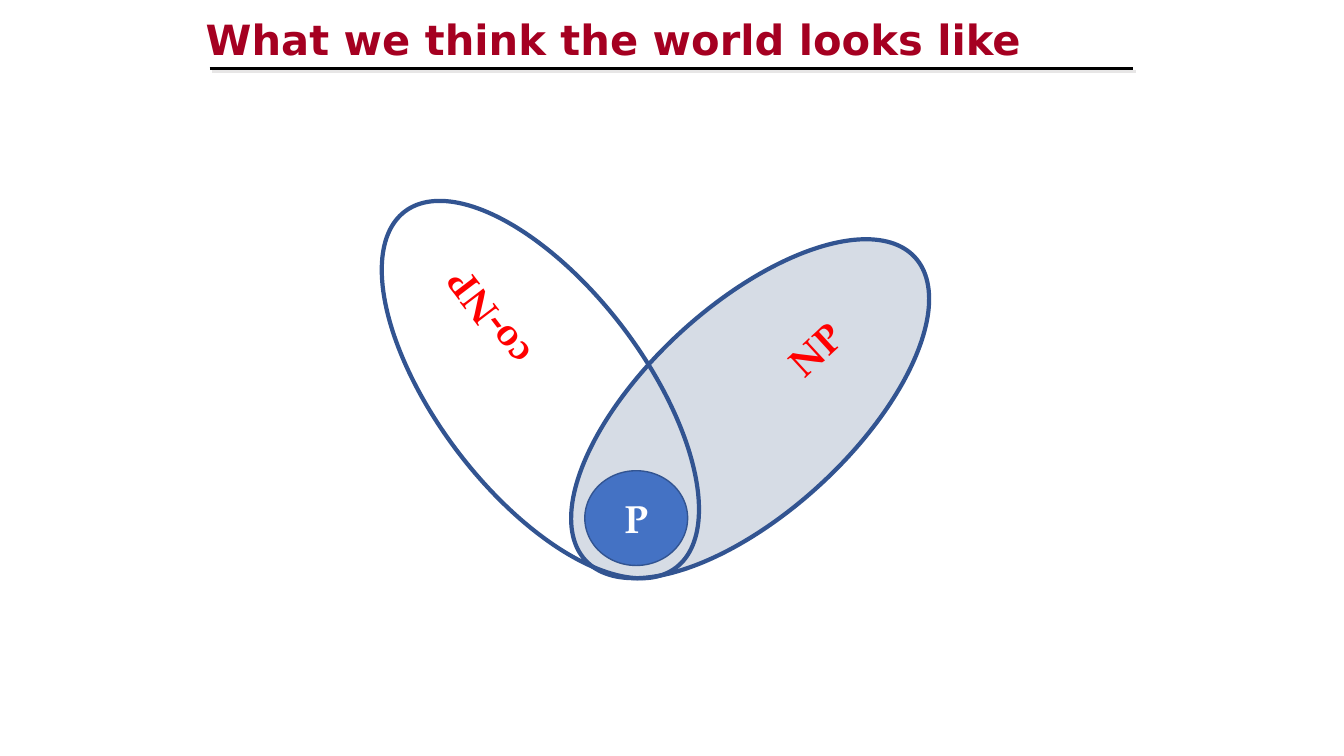
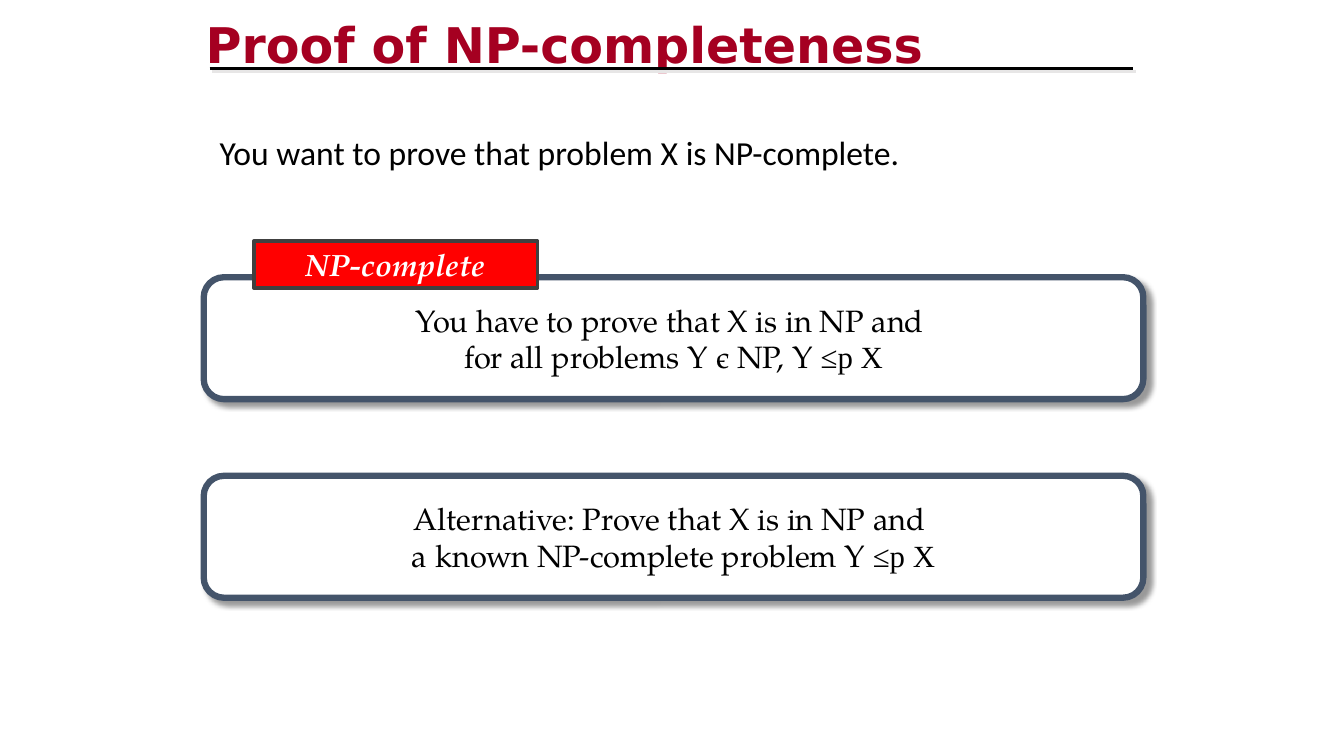
from dataclasses import dataclass
from typing import Optional

import pptx
import pptx.dml.color
import pptx.enum.shapes
import pptx.enum.text
import pptx.oxml.ns
import pptx.util
from lxml import etree

Inches = pptx.util.Inches
Pt = pptx.util.Pt
Shapes = pptx.enum.shapes.MSO_SHAPE
Align = pptx.enum.text.PP_ALIGN
Anchor = pptx.enum.text.MSO_ANCHOR
AutoSize = pptx.enum.text.MSO_AUTO_SIZE


@dataclass(frozen=True)
class Theme:
    title: str = "A50021"
    black: str = "000000"
    white: str = "FFFFFF"
    red: str = "FF0000"
    blue: str = "4472C4"
    outline: str = "325491"
    pale: str = "D6DCE5"
    slate: str = "44546A"
    charcoal: str = "404040"
    rule_shadow: str = "E7E6E6"
    title_font: str = "DejaVu Sans"
    body_font: str = "Calibri"
    serif_font: str = "TeX Gyre Pagella"
    formula_font: str = "Times New Roman"
    class_size: float = 28
    intro_size: float = 24
    statement_size: float = 22


THEME = Theme()


@dataclass(frozen=True)
class Box:
    left: float
    top: float
    width: float
    height: float

    def lengths(self) -> tuple:
        return tuple(Inches(n) for n in (self.left, self.top, self.width, self.height))


@dataclass(frozen=True)
class Shadow:
    color: str
    opacity: int
    blur: float
    distance: float


RULE_SHADOW = Shadow(THEME.rule_shadow, 100, 0, 2.8)
STATEMENT_SHADOW = Shadow(THEME.black, 40, 4, 4)


@dataclass(frozen=True)
class ComplexityClass:
    """A labelled ellipse; label_indent pushes the label along its long axis."""
    name: str
    box: Box
    fill: Optional[str] = None
    color: str = THEME.red
    line_width: float = 3
    rotation: float = 0
    label_indent: float = 0


@dataclass(frozen=True)
class Statement:
    top: float
    first_line: str
    second_line: str
    formula: str


CLASSES = (
    ComplexityClass("NP", Box(5.22, 3.03, 4.44, 2.05), THEME.pale,
                    rotation=317.4, label_indent=1.75),
    ComplexityClass("P", Box(5.8, 4.67, 1.02, 0.94), THEME.blue,
                    color=THEME.white, line_width=1),
    ComplexityClass("co-NP", Box(3.14, 2.84, 4.44, 2.05),
                    rotation=232.7, label_indent=1.75),
)

STATEMENTS = (
    Statement(2.75, "You have to prove that X is in NP and ",
              "for all problems Y є NP, Y ", "≤p X"),
    Statement(4.72, "Alternative: Prove that X is in NP and ",
              "a known NP-complete problem Y ", "≤p X"),
)


def rgb(color: str) -> pptx.dml.color.RGBColor:
    return pptx.dml.color.RGBColor.from_string(color)


def style(paragraph, font: str, size: float, color: str, bold: bool = False,
          italic: bool = False, align=Align.CENTER) -> None:
    paragraph.alignment = align
    paragraph.font.name = font
    paragraph.font.size = Pt(size)
    paragraph.font.bold = bold
    paragraph.font.italic = italic
    paragraph.font.color.rgb = rgb(color)


def add_shadow(properties, shadow: Shadow) -> None:
    """Append an outer shadow, cast to the lower right, to shape or run properties."""
    qn = pptx.oxml.ns.qn
    for old in properties.findall(qn("a:effectLst")):
        properties.remove(old)
    effects = etree.SubElement(properties, qn("a:effectLst"))
    outer = etree.SubElement(
        effects, qn("a:outerShdw"), blurRad=str(int(Pt(shadow.blur))),
        dist=str(int(Pt(shadow.distance))), dir=str(45 * 60000),
        algn="tl", rotWithShape="0")
    color = etree.SubElement(outer, qn("a:srgbClr"), val=shadow.color)
    etree.SubElement(color, qn("a:alpha"), val=str(shadow.opacity * 1000))


def add_shape(slide, kind, box: Box, fill: Optional[str], line: str, line_width: float):
    shape = slide.shapes.add_shape(kind, *box.lengths())
    shape.shadow.inherit = False
    if fill:
        shape.fill.solid()
        shape.fill.fore_color.rgb = rgb(fill)
    else:
        shape.fill.background()
    shape.line.color.rgb = rgb(line)
    shape.line.width = Pt(line_width)
    shape.text_frame.vertical_anchor = Anchor.MIDDLE
    return shape


def add_titled_slide(presentation, text: str, size: float):
    """Add a slide with the shared title style and the rule below it."""
    slide = presentation.slides.add_slide(presentation.slide_layouts[5])
    title = slide.shapes.title
    title.left, title.top, title.width, title.height = Box(1.94, 0.05, 8.5, 0.67).lengths()
    frame = title.text_frame
    frame.auto_size = AutoSize.NONE
    frame.vertical_anchor = Anchor.TOP
    frame.margin_top = Inches(0.09)
    paragraph = frame.paragraphs[0]
    run = paragraph.add_run()
    run.text = text
    style(paragraph, THEME.title_font, size, THEME.title, bold=True, align=Align.LEFT)
    add_shadow(run._r.get_or_add_rPr(), RULE_SHADOW)

    rule = slide.shapes.add_connector(
        pptx.enum.shapes.MSO_CONNECTOR.STRAIGHT,
        Inches(2.08), Inches(0.68), Inches(11.24), Inches(0.68))
    rule.line.color.rgb = rgb(THEME.black)
    rule.line.width = Pt(2.25)
    add_shadow(rule.element.spPr, RULE_SHADOW)
    return slide


def add_class(slide, item: ComplexityClass) -> None:
    ellipse = add_shape(slide, Shapes.OVAL, item.box, item.fill,
                        THEME.outline, item.line_width)
    ellipse.rotation = item.rotation
    frame = ellipse.text_frame
    frame.margin_left = Inches(item.label_indent)
    frame.margin_right = 0
    paragraph = frame.paragraphs[0]
    paragraph.text = item.name
    style(paragraph, THEME.serif_font, THEME.class_size, item.color, bold=True)


def add_statement(slide, statement: Statement) -> None:
    panel = add_shape(slide, Shapes.ROUNDED_RECTANGLE, Box(2.02, statement.top, 9.32, 1.21),
                      THEME.white, THEME.slate, 4.5)
    add_shadow(panel.element.spPr, STATEMENT_SHADOW)
    frame = panel.text_frame
    frame.word_wrap = False
    first, second = frame.paragraphs[0], frame.add_paragraph()
    first.text = statement.first_line
    second.text = statement.second_line
    formula = second.add_run()
    formula.text = statement.formula
    formula.font.name = THEME.formula_font
    for paragraph in (first, second):
        style(paragraph, THEME.serif_font, THEME.statement_size, THEME.black)


def add_tag(slide, text: str) -> None:
    tag = add_shape(slide, Shapes.RECTANGLE, Box(2.52, 2.39, 2.81, 0.47),
                    THEME.red, THEME.charcoal, 2.5)
    paragraph = tag.text_frame.paragraphs[0]
    paragraph.text = text
    style(paragraph, THEME.serif_font, THEME.statement_size, THEME.white,
          bold=True, italic=True)


def add_intro(slide, text: str) -> None:
    intro = slide.shapes.add_textbox(*Box(2.08, 1.26, 7.01, 0.5).lengths())
    intro.text_frame.word_wrap = False
    paragraph = intro.text_frame.paragraphs[0]
    paragraph.text = text
    style(paragraph, THEME.body_font, THEME.intro_size, THEME.black, align=Align.LEFT)


def build_world_slide(presentation) -> None:
    slide = add_titled_slide(presentation, "What we think the world looks like", 29.7)
    for item in CLASSES:
        add_class(slide, item)


def build_proof_slide(presentation) -> None:
    slide = add_titled_slide(presentation, "Proof of NP-completeness", 35.1)
    for statement in STATEMENTS:
        add_statement(slide, statement)
    add_tag(slide, "NP-complete")
    add_intro(slide, "You want to prove that problem X is NP-complete.")


def main() -> None:
    presentation = pptx.Presentation()
    presentation.slide_width = Inches(13.33)
    presentation.slide_height = Inches(7.5)
    build_world_slide(presentation)
    build_proof_slide(presentation)
    presentation.save("out.pptx")


if __name__ == "__main__":
    main()
